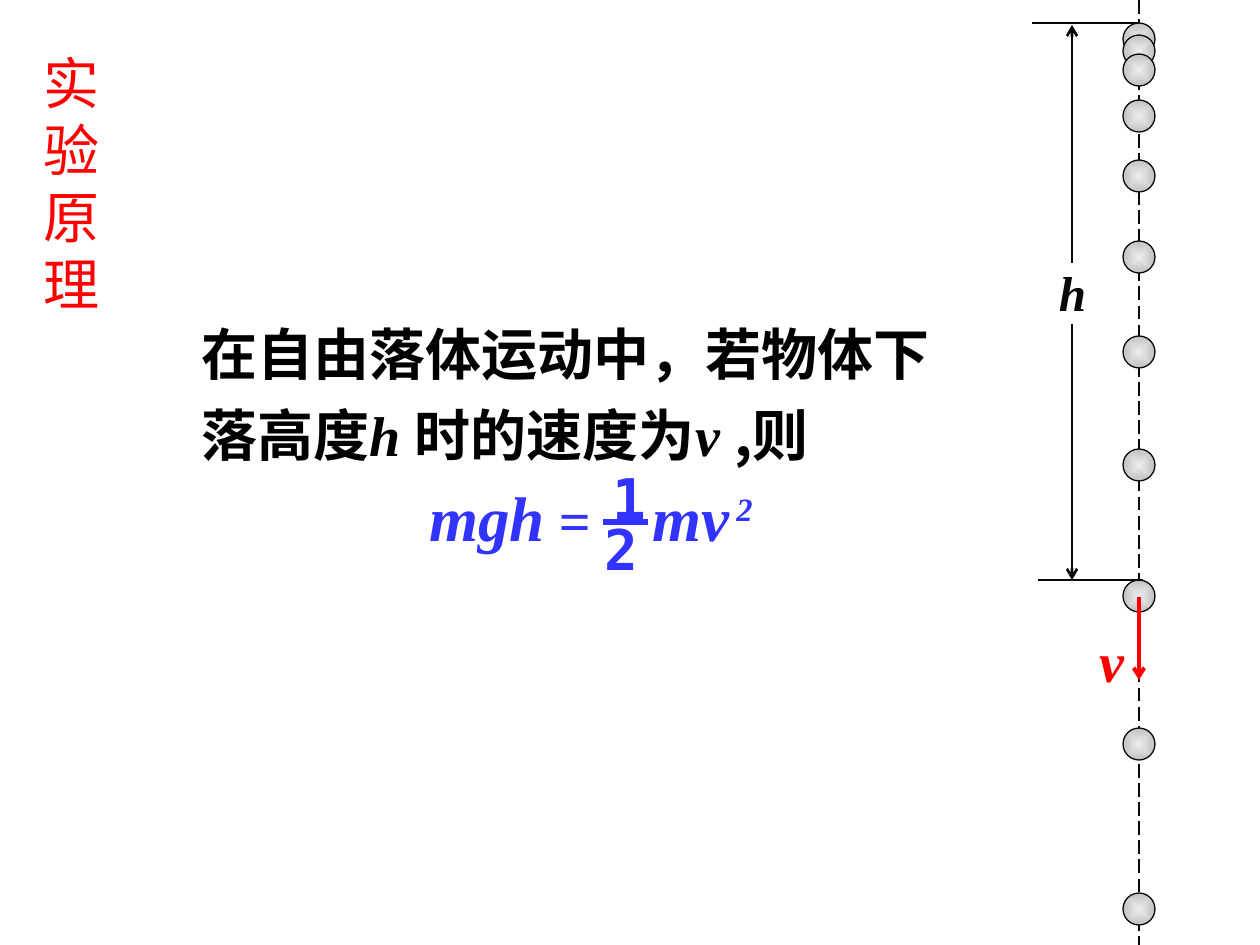
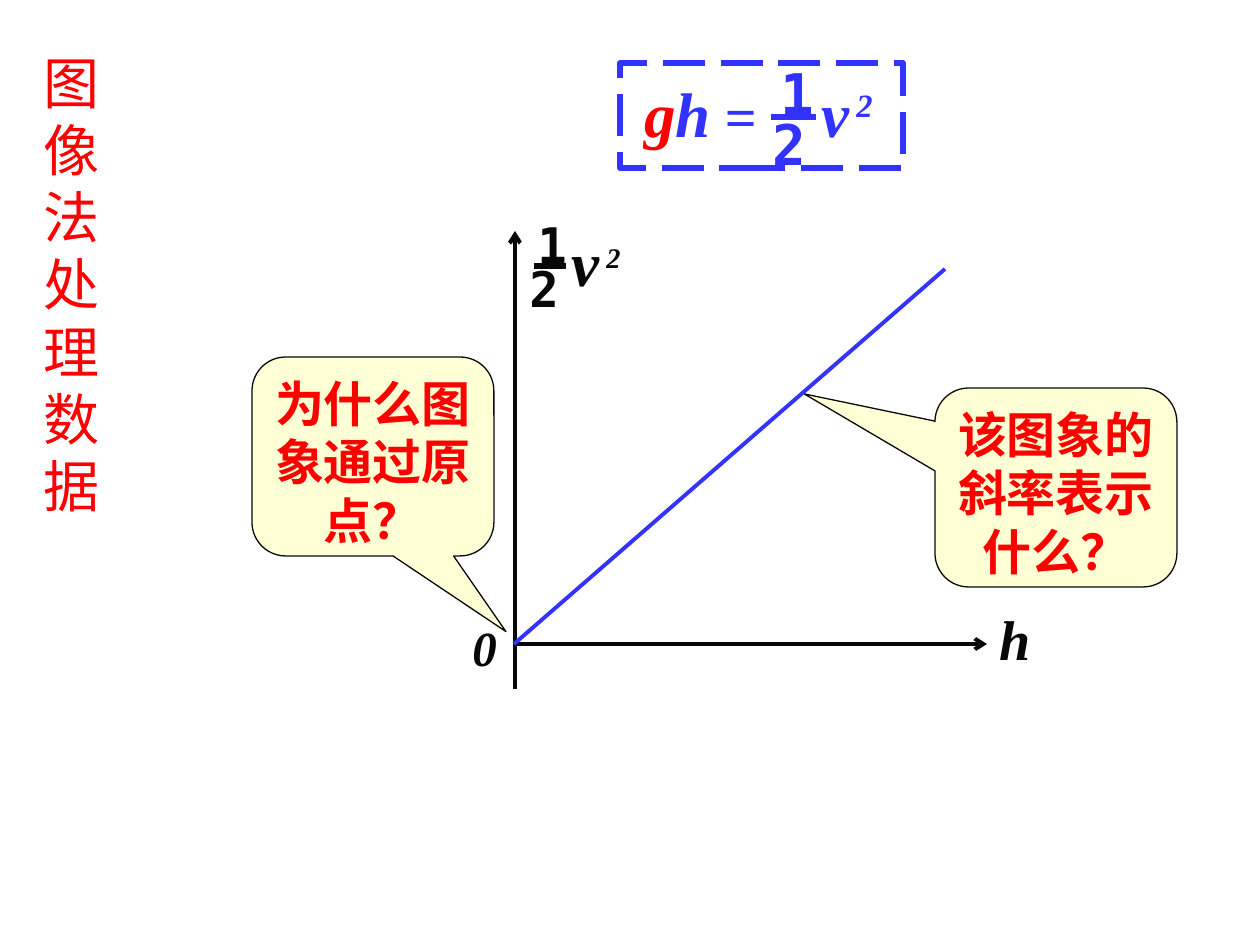
from dataclasses import dataclass

from lxml import etree
from pptx import Presentation
from pptx import util as u
from pptx.dml.color import RGBColor
from pptx.enum import dml, shapes, text
from pptx.oxml.ns import qn

PX = 914400 / 126
WIDTH, HEIGHT = 1260, 945


@dataclass(frozen=True)
class Theme:
    red: str = "FF0000"
    blue: str = "3333FF"
    ink: str = "080808"
    black: str = "000000"
    white: str = "FFFFFF"
    callout: str = "FFFFCC"
    ball_light: str = "EDEDED"
    ball_dark: str = "C0C0C0"
    title_font: str = "Arial"
    body_font: str = "Noto Sans CJK SC"
    symbol_font: str = "Times New Roman"
    digit_font: str = "DejaVu Sans Mono"
    small: int = 28
    normal: int = 32
    large: int = 36
    thin: float = 0.75
    guide: float = 1
    measure: float = 1.5
    axis: float = 2.25
    heavy: float = 3


THEME = Theme()


def symbol(value, size, color, **extra):
    return dict(text=value, size=size, color=color, font=THEME.symbol_font,
                bold=True, italic=True, **extra)


def body(value):
    return dict(text=value, size=THEME.normal, color=THEME.black,
                font=THEME.body_font, bold=True)


def equals(color):
    return [symbol(" ", THEME.normal, color),
            {**symbol("=", THEME.normal, color), "italic": False}]


def squared(letters, color, gap_size, power_size, gap_raise=0):
    return [symbol(letters, THEME.large, color),
            symbol(" ", gap_size, color, baseline=gap_raise),
            symbol("2", power_size, color, baseline=36)]


# Content: boxes are (left, top, width, height) in px
PRINCIPLE = {
    "title": "实验原理",
    "title_height": 336,
    "statement": [body("在自由落体运动中，若物体下落高度"),
                  symbol("h ", THEME.normal, THEME.black),
                  body("时的速度为"),
                  symbol("v ", THEME.normal, THEME.black),
                  body(",则")],
    "statement_box": (189, 300, 777, 287),
    "equation": [
        ((417, 472, 204, 88),
         [symbol("mgh", THEME.large, THEME.blue), *equals(THEME.blue)]),
        ((640, 472, 179, 88),
         squared("mv", THEME.blue, THEME.small, THEME.normal, 30)),
    ],
    "fraction_bar": (603, 648, 522),
}
FALL = {
    "panel": (1029, 0, 179, HEIGHT),
    "center": 1139,
    "ball_size": 32,
    "ball_tops": [23, 35, 54, 100, 160, 241, 336, 449, 580, 728, 893],
    "levels": [(1032, 1138, 23), (1038, 1143, 580)],
    "measure_x": 1072,
    "measure_gap": (263, 324),
    "height_box": (1036, 256, 73, 72),
    "speed_arrow": (597, 680),
    "speed_box": (1070, 620, 84, 79),
}
GRAPH = {
    "title": "图像法处理数据",
    "title_height": 546,
    "panel": (346, 189, 746, 535),
    "frame": (620, 63, 283, 105),
    "equation": [
        ((632, 68, 140, 88),
         [symbol("g", THEME.large, THEME.red),
          symbol("h", THEME.large, THEME.blue), *equals(THEME.blue)]),
        ((809, 68, 94, 88),
         squared("v", THEME.blue, THEME.small, THEME.normal, 30)),
    ],
    "fraction_bar": (771, 816, 117),
    "axes": [((515, 689), (515, 231)), ((516, 644), (987, 644))],
    "plot": ((514, 644), (945, 269)),
    "axis_labels": [
        ((460, 611, 50, 72), [symbol("0", THEME.small, THEME.ink)]),
        ((987, 598, 63, 79), [symbol("h", THEME.normal, THEME.ink)]),
        ((559, 217, 94, 88), squared("v", THEME.ink, 16, THEME.small)),
    ],
    "axis_fraction_bar": (534, 566, 266),
    "callout_size": (242, 199),
    "callouts": [("该图象的斜率表示什么？", (935, 388), (-1.04, -0.47, 0.17)),
                 ("为什么图象通过原点？", (252, 357), (0.55, 0.88, 0.17))],
}


def px(*values):
    return [u.Emu(round(value * PX)) for value in values]


def rgb(color):
    return RGBColor.from_string(color)


def write(shape, runs, center=False, line_spacing=None, wrap=True):
    frame = shape.text_frame
    frame_format = dict(word_wrap=wrap, auto_size=text.MSO_AUTO_SIZE.NONE,
                        vertical_anchor=text.MSO_ANCHOR.TOP)
    for name, value in frame_format.items():
        setattr(frame, name, value)
    paragraph = frame.paragraphs[0]
    paragraph.alignment = text.PP_ALIGN.CENTER if center else text.PP_ALIGN.LEFT
    if line_spacing:
        paragraph.line_spacing = line_spacing
    for item in runs:
        run = paragraph.add_run()
        run.text = item["text"]
        font_format = dict(name=item["font"], size=u.Pt(item["size"]),
                           bold=item.get("bold", False),
                           italic=item.get("italic", False))
        for name, value in font_format.items():
            setattr(run.font, name, value)
        run.font.color.rgb = rgb(item["color"])
        properties = run.font._element
        east_asian = etree.SubElement(properties, qn("a:ea"))
        east_asian.set("typeface", THEME.body_font)
        if item.get("baseline"):
            properties.set("baseline", str(item["baseline"] * 1000))


def add_text(parent, box, runs, **layout):
    shape = parent.add_textbox(*px(*box))
    write(shape, runs, **layout)
    return shape


def fill_translucent(shape, color):
    shape.fill.solid()
    shape.fill.fore_color.rgb = rgb(color)
    color_node = shape._element.spPr.find(qn("a:solidFill"))[0]
    etree.SubElement(color_node, qn("a:alpha")).set("val", "80000")


def add_panel(parent, box, color=THEME.white, outline=None, weight=THEME.thin,
              kind=shapes.MSO_SHAPE.RECTANGLE):
    shape = parent.add_shape(kind, *px(*box))
    shape.shadow.inherit = False
    fill_translucent(shape, color)
    if outline:
        shape.line.color.rgb = rgb(outline)
        shape.line.width = u.Pt(weight)
    else:
        shape.line.fill.background()
    return shape


def add_line(parent, start, end, color, weight, arrow=False, dashed=False):
    line = parent.add_connector(shapes.MSO_CONNECTOR.STRAIGHT, *px(*start, *end))
    line.line.color.rgb = rgb(color)
    line.line.width = u.Pt(weight)
    if dashed:
        line.line.dash_style = dml.MSO_LINE.LONG_DASH
    properties = line._element.spPr
    if arrow:
        outline = properties.find(qn("a:ln"))
        etree.SubElement(outline, qn("a:tailEnd")).set("type", "arrow")
    etree.SubElement(properties, qn("a:effectLst"))


def add_half(parent, bar, color, size, digit_height):
    """Draw the fraction 1/2 around a bar given as (left, right, y)."""
    left, right, y = bar
    middle = (left + right) / 2
    digits = [("1", middle - 25, y - digit_height + 14),
              ("2", middle - 33, y - 14)]
    for digit, x, top in digits:
        run = dict(text=digit, size=size, color=color, font=THEME.digit_font,
                   bold=True)
        add_text(parent, (x, top, 59, digit_height), [run])
    add_line(parent, (left, y), (right, y), color, THEME.heavy)


def add_equation(parent, content):
    for box, runs in content["equation"]:
        add_text(parent, box, runs)
    add_half(parent, content["fraction_bar"], THEME.blue, THEME.normal, 79)


def add_ball(parent, top):
    size = FALL["ball_size"]
    ball = parent.add_shape(shapes.MSO_SHAPE.OVAL,
                            *px(FALL["center"] - size / 2, top, size, size))
    ball.shadow.inherit = False
    ball.line.color.rgb = rgb(THEME.ink)
    ball.line.width = u.Pt(THEME.thin)
    ball.fill.gradient()
    for stop, color in zip(ball.fill.gradient_stops,
                           (THEME.ball_light, THEME.ball_dark)):
        stop.color.rgb = rgb(color)
    gradient = ball._element.spPr.find(qn("a:gradFill"))
    gradient.remove(gradient.find(qn("a:lin")))
    radial = etree.SubElement(gradient, qn("a:path"), {"path": "shape"})
    etree.SubElement(radial, qn("a:fillToRect"), dict.fromkeys("ltrb", "50000"))


def add_titled_slide(presentation, content):
    slide = presentation.slides.add_slide(presentation.slide_layouts[5])
    title = slide.shapes.title
    box = px(31, 42, 79, content["title_height"])
    for name, value in zip(("left", "top", "width", "height"), box):
        setattr(title, name, value)
    write(title, [dict(text=content["title"], size=THEME.normal,
                       color=THEME.red, font=THEME.title_font)], center=True)
    return slide.shapes


def add_fall(parent):
    center = FALL["center"]
    track = parent.add_group_shape().shapes
    add_panel(track, FALL["panel"])
    add_line(track, (center, 0), (center, HEIGHT), THEME.ink, THEME.guide,
             dashed=True)
    for top in FALL["ball_tops"]:
        add_ball(track, top)

    measure = parent.add_group_shape().shapes
    add_text(measure, FALL["height_box"],
             [symbol("h", THEME.small, THEME.ink)], center=True)
    x = FALL["measure_x"]
    for gap_y, (left, right, y) in zip(FALL["measure_gap"], FALL["levels"]):
        add_line(measure, (left, y), (right, y), THEME.ink, THEME.measure)
        tip = y + 2 if gap_y > y else y
        add_line(measure, (x, gap_y), (x, tip), THEME.ink, THEME.measure,
                 arrow=True)

    speed = parent.add_group_shape().shapes
    start, end = FALL["speed_arrow"]
    add_line(speed, (center, start), (center, end), THEME.red, THEME.axis,
             arrow=True)
    add_text(speed, FALL["speed_box"],
             [symbol("v", THEME.normal, THEME.red)], center=True)


def build_principle(presentation):
    parent = add_titled_slide(presentation, PRINCIPLE)
    statement = add_panel(parent, PRINCIPLE["statement_box"])
    write(statement, PRINCIPLE["statement"], line_spacing=1.2)
    add_fall(parent)
    add_equation(parent.add_group_shape().shapes, PRINCIPLE)


def build_graph(presentation):
    parent = add_titled_slide(presentation, GRAPH)
    chart = parent.add_group_shape().shapes
    add_panel(chart, GRAPH["panel"])
    for start, end in GRAPH["axes"]:
        add_line(chart, start, end, THEME.ink, THEME.axis, arrow=True)
    for box, runs in GRAPH["axis_labels"]:
        add_text(chart, box, runs)
    add_half(chart, GRAPH["axis_fraction_bar"], THEME.ink, THEME.small, 72)
    add_line(parent, *GRAPH["plot"], THEME.blue, THEME.axis)

    formula = parent.add_group_shape().shapes
    frame = add_panel(formula, GRAPH["frame"], outline=THEME.blue,
                      weight=THEME.heavy)
    frame.line.dash_style = dml.MSO_LINE.LONG_DASH
    add_equation(formula, GRAPH)

    for question, corner, pointer in GRAPH["callouts"]:
        callout = add_panel(parent, (*corner, *GRAPH["callout_size"]),
                            THEME.callout, THEME.ink,
                            kind=shapes.MSO_SHAPE.ROUNDED_RECTANGULAR_CALLOUT)
        for index, value in enumerate(pointer):
            callout.adjustments[index] = value
        write(callout, [dict(text=question, size=THEME.small, color=THEME.red,
                             font=THEME.title_font, bold=True)], center=True)


def main():
    presentation = Presentation()
    presentation.slide_width, presentation.slide_height = px(WIDTH, HEIGHT)
    build_principle(presentation)
    build_graph(presentation)
    presentation.save("out.pptx")


if __name__ == "__main__":
    main()
